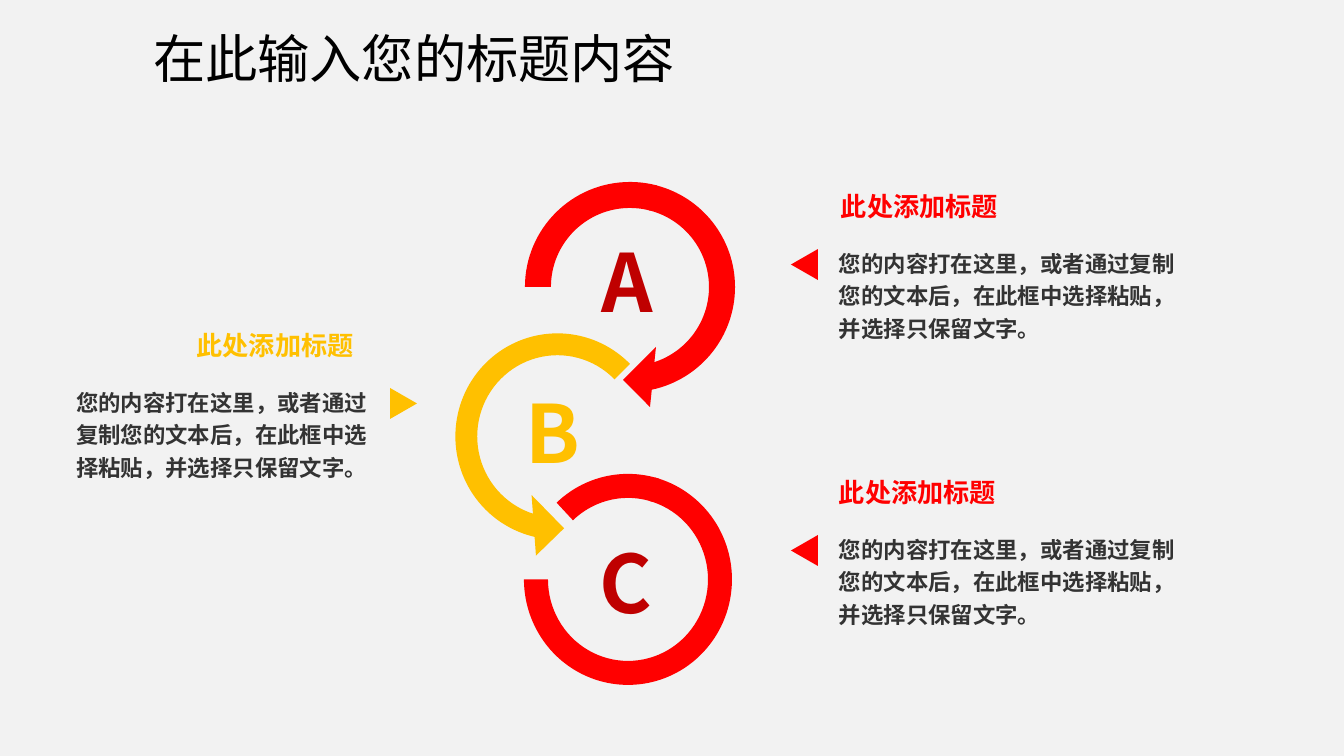
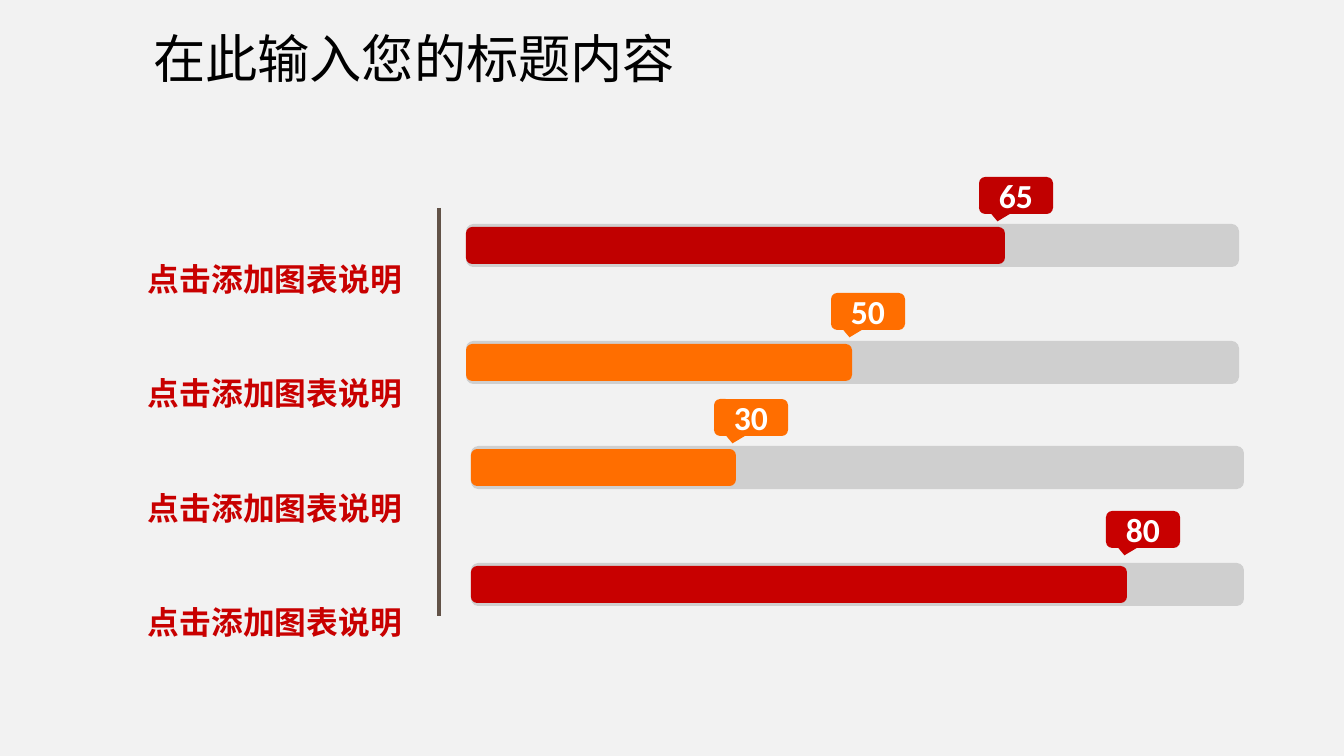
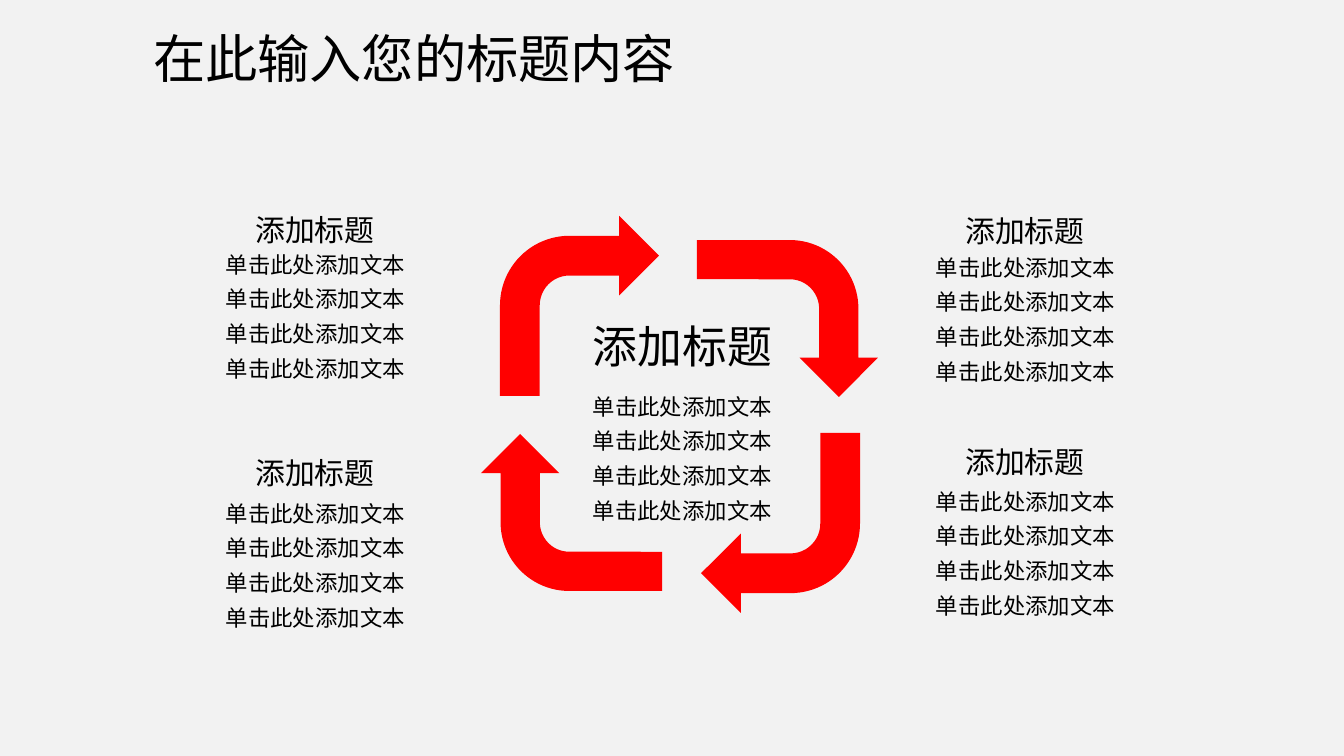
from dataclasses import dataclass
from math import ceil, cos, floor, radians, sin, tan

from pptx import Presentation
from pptx.dml.color import RGBColor
from pptx.enum.shapes import MSO_CONNECTOR, MSO_SHAPE
from pptx.enum.text import MSO_ANCHOR, MSO_AUTO_SIZE, PP_ALIGN
from pptx.oxml.ns import qn
from pptx.oxml.xmlchemy import OxmlElement
from pptx.util import Pt

LEFT, CENTER, RIGHT = PP_ALIGN.LEFT, PP_ALIGN.CENTER, PP_ALIGN.RIGHT
MIDDLE = MSO_ANCHOR.MIDDLE
GROW = MSO_AUTO_SIZE.SHAPE_TO_FIT_TEXT
TRIANGLE = MSO_SHAPE.ISOSCELES_TRIANGLE
BLOCK_ARC = MSO_SHAPE.BLOCK_ARC
LEFT_ARROW = MSO_SHAPE.LEFT_CIRCULAR_ARROW
BENT_ARROW = MSO_SHAPE.BENT_ARROW
BAR = MSO_SHAPE.FLOWCHART_ALTERNATE_PROCESS
CALLOUT = MSO_SHAPE.ROUNDED_RECTANGULAR_CALLOUT
STRAIGHT = MSO_CONNECTOR.STRAIGHT

WIDTH, HEIGHT = 1344, 756
SCALE = 9144000 / WIDTH


@dataclass(frozen=True)
class Theme:
    """Colours, fonts and type sizes of the deck."""
    back: str = "F2F2F2"
    ink: str = "000000"
    body: str = "333333"
    red: str = "FF0000"
    letter: str = "BF0000"
    dark: str = "C00000"
    crimson: str = "C80000"
    gold: str = "FFC000"
    orange: str = "FF6E00"
    white: str = "FFFFFF"
    axis: str = "625348"
    cjk: str = "Noto Sans CJK SC"
    latin: str = "Calibri"
    title: int = 28
    letter_size: int = 43
    center_size: int = 24
    value: int = 18
    label: int = 17
    head: int = 16
    step: int = 14
    text: int = 12


T = Theme()
TITLE = "在此输入您的标题内容"
STEP_TITLE = "此处添加标题"
STEP_TEXT = "您的内容打在这里，或者通过复制您的文本后，在此框中选择粘贴，并选择只保留文字。"
BAR_LABEL = "点击添加图表说明"
HEAD = "添加标题"
LINE = "单击此处添加文本"


def px(n):
    """Turn px into EMU."""
    return round(n * SCALE)


def rgb(color):
    """Make a colour from its hex code."""
    return RGBColor.from_string(color)


def write(tf, lines, size, color, bold=False, align=LEFT, spacing=None, font=T.cjk):
    """Fill a text frame with equally styled paragraphs."""
    for i, line in enumerate(lines):
        p = tf.add_paragraph() if i else tf.paragraphs[0]
        p.text = line
        p.alignment = align
        if spacing:
            p.line_spacing = spacing
        p.font.name = font
        p.font.size = Pt(size)
        p.font.bold = bold
        p.font.color.rgb = rgb(color)
        ea = OxmlElement("a:ea")
        ea.set("typeface", font)
        p._p.pPr.find(qn("a:defRPr")).append(ea)


def add_text(shapes, box, lines, size, color, inset=None, wrap=True, **style):
    """Add a text box that grows with its text."""
    tf = shapes.add_textbox(*map(px, box)).text_frame
    tf.word_wrap = wrap
    tf.auto_size = GROW
    if inset:
        tf.margin_left = tf.margin_right = px(inset[0])
        tf.margin_top = tf.margin_bottom = px(inset[1])
    write(tf, lines, size, color, **style)


def paint(sp, color):
    """Give a shape a flat fill without line or shadow."""
    sp.shadow.inherit = False
    sp.fill.solid()
    sp.fill.fore_color.rgb = rgb(color)
    sp.line.fill.background()


def add_shape(s, kind, box, color, rotation=0, adjust=()):
    """Add a flat preset shape."""
    sp = s.shapes.add_shape(kind, *map(px, box))
    paint(sp, color)
    sp.rotation = rotation
    for i, value in enumerate(adjust):
        sp.adjustments[i] = value
    return sp


def arc(cx, cy, radius, start, end):
    """List an arc's start and its curves, cut at each quarter turn."""
    low, high = sorted((start, end))
    quarters = range(90 * ceil(low / 90), 90 * floor(high / 90) + 1, 90)
    cuts = sorted({low, high, *quarters}, reverse=start > end)

    def at(angle, shift=0):
        a = radians(angle)
        return (cx + radius * (cos(a) - shift * sin(a)), cy + radius * (sin(a) + shift * cos(a)))

    steps = [[at(start)]]
    for a, b in zip(cuts, cuts[1:]):
        k = 4 / 3 * tan(radians(b - a) / 4)
        steps.append([at(a, k), at(b, -k), at(b)])
    return steps


def add_outline(s, steps, color):
    """Add a flat closed outline of lines (one point) and curves (three points)."""
    points = [(px(x), px(y)) for step in steps for x, y in step]
    builder = s.shapes.build_freeform(*points[0])
    builder.add_line_segments(points[1:], close=True)
    sp = builder.convert_to_shape()
    paint(sp, color)
    lines = iter(list(sp._element.iter(qn("a:lnTo"))))
    for step in steps[1:]:
        parts = [next(lines) for _ in step]
        if len(parts) == 3:
            curve = OxmlElement("a:cubicBezTo")
            parts[0].addprevious(curve)
            for part in parts:
                curve.append(part[0])
                part.getparent().remove(part)


def new_slide(prs):
    """Add a slide with the shared background and title."""
    s = prs.slides.add_slide(prs.slide_layouts[6])
    s.background.fill.solid()
    s.background.fill.fore_color.rgb = rgb(T.back)
    add_text(s.shapes, (140, 20, 570, 77), [TITLE], T.title, T.ink)
    return s


def step_note(s, x, y, w, color, title_x, on_left=False):
    """Place a step's title, text and pointer."""
    inset = (12, 6)
    pointer_x = x + w + 5 if on_left else x - 38
    add_text(s.shapes, (x + title_x, y, 183, 43), [STEP_TITLE], T.step, color, inset,
             wrap=False, bold=True, align=RIGHT if on_left else LEFT)
    add_shape(s, TRIANGLE, (pointer_x, y + 67, 31, 27), color, 90 if on_left else 270)
    add_text(s.shapes, (x, y + 55, w, 109), [STEP_TEXT], T.text, T.body, inset,
             bold=True, spacing=1.2)


def arrow_ring(s, cx, cy):
    """Place the top ring as an arrow-headed part and a tail."""
    outer, inner = 105, 79
    head = [[(cx + 20, cy + 120)], [(cx - 7, cy + 93)], [(cx + 26, cy + 60)]]
    add_outline(s, arc(cx, cy, outer, -76, 78) + head + arc(cx, cy, inner, 72, -76), T.red)
    add_outline(s, arc(cx, cy, outer, -180, -75) + arc(cx, cy, inner, -75, -180), T.red)


def rings_slide(prs):
    """Build the chain of three lettered rings."""
    s = new_slide(prs)
    step_note(s, 827, 184, 367, T.red, 2)
    step_note(s, 827, 470, 367, T.red, 0)
    step_note(s, 64, 323, 319, T.gold, 119, on_left=True)
    add_shape(s, LEFT_ARROW, (436, 314, 243, 245), T.gold,
              adjust=(0.09, 11.42, 62.94, 189, 1 / 8))
    for start, end in ((136.24, 172.28), (170.85, 108)):
        add_shape(s, BLOCK_ARC, (524, 474, 208, 211), T.red, adjust=(start, end, 24 / 208))
    arrow_ring(s, 630, 287)
    for letter, x, y, w, color in (("A", 590, 226, 85, T.letter), ("B", 514, 377, 78, T.gold),
                                   ("C", 588, 527, 78, T.letter)):
        add_text(s.shapes, (x, y, w, 109), [letter], T.letter_size, color, (12, 6),
                 wrap=False, bold=True)


def value_bar(s, x, y, length, flag_x, flag_y, value, color):
    """Place a track, its bar and the flag with the value."""
    track = add_shape(s, BAR, (x, y, 773, 43), T.ink)
    alpha = OxmlElement("a:alpha")
    alpha.set("val", "14000")
    track.fill._xPr.find(qn("a:solidFill"))[0].append(alpha)
    add_shape(s, BAR, (x, y + 3, length, 37), color)
    flag = add_shape(s, CALLOUT, (flag_x, flag_y, 74, 37), color, adjust=(-0.25, 0.7, 0.17))
    tf = flag.text_frame
    tf.vertical_anchor = MIDDLE
    write(tf, [str(value)], T.value, T.white, bold=True, align=CENTER, font=T.latin)


def bars_slide(prs):
    """Build the four labelled value bars."""
    s = new_slide(prs)
    for bar in ((466, 224, 539, 979, 177, 65, T.dark), (466, 341, 386, 831, 293, 50, T.orange),
                (471, 446, 265, 714, 399, 30, T.orange), (471, 563, 656, 1106, 511, 80, T.crimson)):
        value_bar(s, *bar)
    axis = s.shapes.add_connector(STRAIGHT, px(439), px(208), px(439), px(616))
    axis.line.color.rgb = rgb(T.axis)
    axis.line.width = Pt(2.25)
    axis._element.spPr.append(OxmlElement("a:effectLst"))
    add_text(s.shapes, (111, 177, 328, 474), [BAR_LABEL] * 4, T.label, T.crimson,
             bold=True, align=CENTER, spacing=3)


def text_block(s, x, y, head_box, size, gap):
    """Place a heading and its four lines as one group."""
    dx, w, h = head_box
    shapes = s.shapes.add_group_shape().shapes
    add_text(shapes, (x + dx, y, w, h), [HEAD], size, T.ink, align=CENTER)
    add_text(shapes, (x, y + gap, 265, 155), [LINE] * 4, T.text, T.ink,
             align=CENTER, spacing=1.3)


def cycle_slide(prs):
    """Build the cycle of four bent arrows around a text."""
    s = new_slide(prs)
    for x, y, w, h, rotation in ((500, 216, 159, 180, 0), (709, 228, 157, 181, 90),
                                 (493, 422, 157, 181, 270), (701, 433, 159, 180, 180)):
        add_shape(s, BENT_ARROW, (x, y, w, h), T.red, rotation)
    text_block(s, 550, 312, (12, 241, 67), T.center_size, 66)
    for x, y, gap in ((893, 206, 33), (893, 437, 36), (183, 205, 31), (183, 448, 37)):
        text_block(s, x, y, (31, 202, 50), T.head, gap)


def main():
    """Build and save the deck."""
    prs = Presentation()
    prs.slide_width, prs.slide_height = px(WIDTH), px(HEIGHT)
    rings_slide(prs)
    bars_slide(prs)
    cycle_slide(prs)
    prs.save("out.pptx")


if __name__ == "__main__":
    main()
